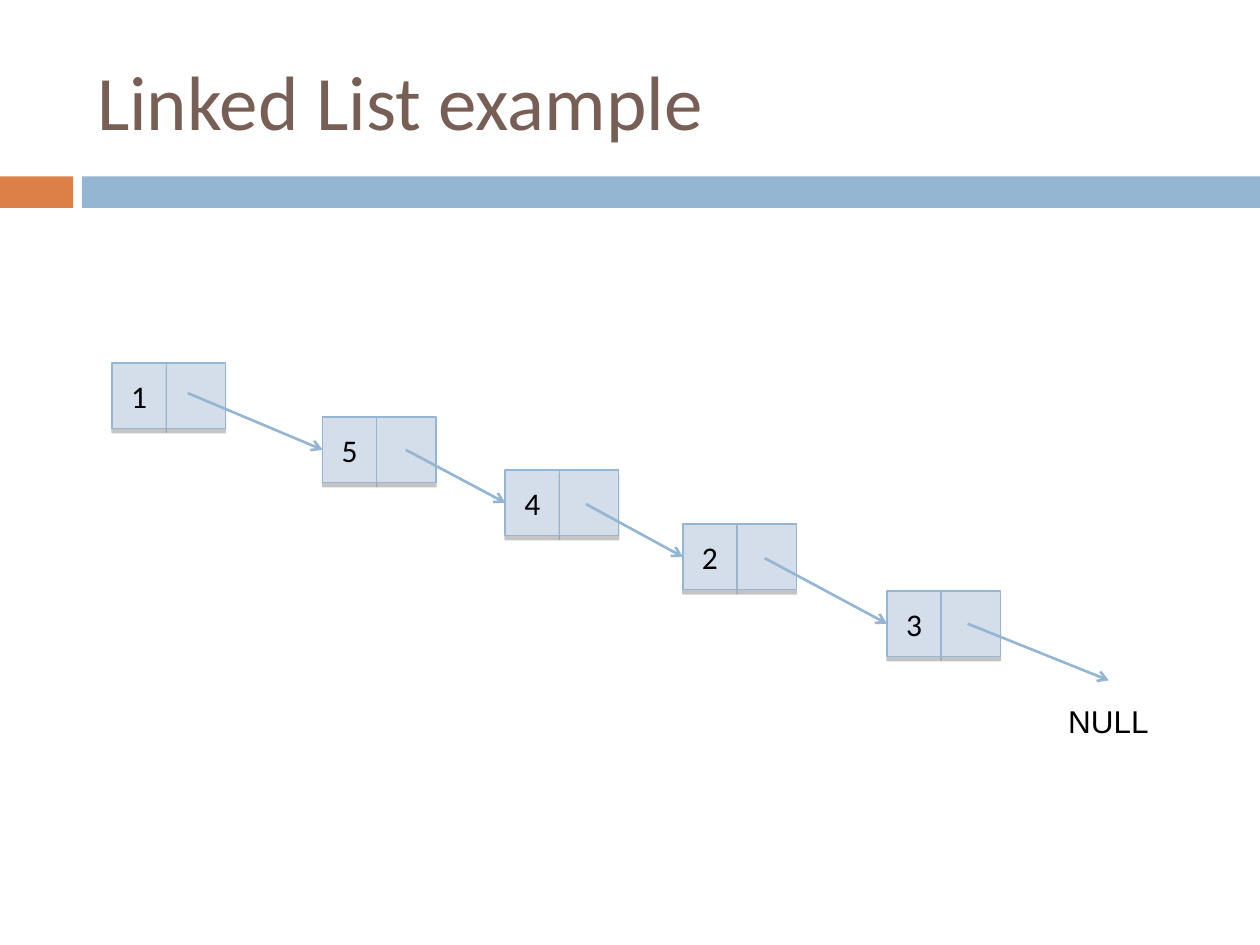
import dataclasses

import lxml.etree
import pptx
import pptx.dml.color
import pptx.enum.shapes
import pptx.enum.text
import pptx.oxml.ns
import pptx.util

Inches = pptx.util.Inches
Pt = pptx.util.Pt
qn = pptx.oxml.ns.qn
RGB = pptx.dml.color.RGBColor.from_string


@dataclasses.dataclass(frozen=True)
class Theme:
    orange: str = "DD8047"
    blue: str = "94B6D2"
    cell: str = "D3DEEA"
    brown: str = "775F55"
    black: str = "000000"
    shadow: str = "808080"
    font: str = "Calibri"
    label_font: str = "Arial"
    title_size: int = 44
    text_size: int = 18


class ListSlide:
    """Draws the parts of a linked list slide in one theme."""

    def __init__(self, slide, theme):
        self.slide = slide
        self.theme = theme

    def style(self, paragraph, size, color, font):
        paragraph.font.size = Pt(size)
        paragraph.font.name = font
        paragraph.font.color.rgb = RGB(color)

    def title(self, text, left, top, width, height):
        heading = self.slide.shapes.title
        heading.left, heading.top = Inches(left), Inches(top)
        heading.width, heading.height = Inches(width), Inches(height)
        frame = heading.text_frame
        frame.text = text
        frame.vertical_anchor = pptx.enum.text.MSO_ANCHOR.MIDDLE
        frame.paragraphs[0].alignment = pptx.enum.text.PP_ALIGN.LEFT
        self.style(frame.paragraphs[0], self.theme.title_size, self.theme.brown, self.theme.font)

    def block(self, left, top, width, height, fill):
        rectangle = self.slide.shapes.add_shape(
            pptx.enum.shapes.MSO_SHAPE.RECTANGLE,
            Inches(left), Inches(top), Inches(width), Inches(height))
        rectangle.shadow.inherit = False
        rectangle.fill.solid()
        rectangle.fill.fore_color.rgb = RGB(fill)
        rectangle.line.fill.background()
        return rectangle

    def cell(self, left, top, width, height, value=""):
        box = self.block(left, top, width, height, self.theme.cell)
        box.line.color.rgb = RGB(self.theme.blue)
        box.line.width = Pt(0.79)
        effects = box._element.spPr.find(qn("a:effectLst"))
        shadow = lxml.etree.SubElement(
            effects, qn("a:outerShdw"), dist=str(Pt(2.4)), dir="5400000", rotWithShape="0")
        tint = lxml.etree.SubElement(shadow, qn("a:srgbClr"), val=self.theme.shadow)
        lxml.etree.SubElement(tint, qn("a:alpha"), val="45000")
        if value:
            frame = box.text_frame
            frame.text = value
            frame.vertical_anchor = pptx.enum.text.MSO_ANCHOR.MIDDLE
            frame.paragraphs[0].alignment = pptx.enum.text.PP_ALIGN.CENTER
            self.style(frame.paragraphs[0], self.theme.text_size, self.theme.black, self.theme.font)
        return box

    def node(self, value, left, top):
        value_width, pointer_width, height = 0.43, 0.47, 0.52
        value_cell = self.cell(left, top, value_width, height, value)
        self.cell(left + value_width, top, pointer_width, height)
        return value_cell

    def link(self, start, end=(0, 0), target=None):
        arrow = self.slide.shapes.add_connector(
            pptx.enum.shapes.MSO_CONNECTOR.STRAIGHT, *map(Inches, start + end))
        if target is not None:
            arrow.end_connect(target, 1)
        arrow.line.color.rgb = RGB(self.theme.blue)
        arrow.line.width = Pt(1.5)
        lxml.etree.SubElement(arrow.line._get_or_add_ln(), qn("a:tailEnd"), type="arrow")
        lxml.etree.SubElement(arrow._element.spPr, qn("a:effectLst"))

    def label(self, text, left, top, width, height):
        caption = self.slide.shapes.add_textbox(
            Inches(left), Inches(top), Inches(width), Inches(height))
        frame = caption.text_frame
        frame.text = text
        frame.word_wrap = False
        frame.auto_size = pptx.enum.text.MSO_AUTO_SIZE.SHAPE_TO_FIT_TEXT
        self.style(frame.paragraphs[0], self.theme.text_size, self.theme.black,
                   self.theme.label_font)


def main():
    deck = pptx.Presentation()
    deck.slide_width, deck.slide_height = Inches(10), Inches(7.5)
    theme = Theme()
    page = ListSlide(deck.slides.add_slide(deck.slide_layouts[5]), theme)

    page.block(0, 1.4, 0.58, 0.25, theme.orange)
    page.block(0.65, 1.4, 9.35, 0.25, theme.blue)
    page.title("Linked List example", 0.67, 0.25, 8.92, 1.08)

    nodes = [("1", 0.89, 2.88), ("5", 2.56, 3.31), ("4", 4.01, 3.73),
             ("2", 5.42, 4.16), ("3", 7.04, 4.69)]
    pointers = [(1.49, 3.12), (3.22, 3.57), (4.65, 4.0), (6.07, 4.43), (7.68, 4.95)]
    value_cells = [page.node(*node) for node in nodes]
    for pointer, next_cell in zip(pointers, value_cells[1:]):
        page.link(pointer, target=next_cell)
    page.link(pointers[-1], end=(8.8, 5.4))
    page.label("NULL", 8.38, 5.52, 0.84, 0.4)

    deck.save("out.pptx")


if __name__ == "__main__":
    main()
